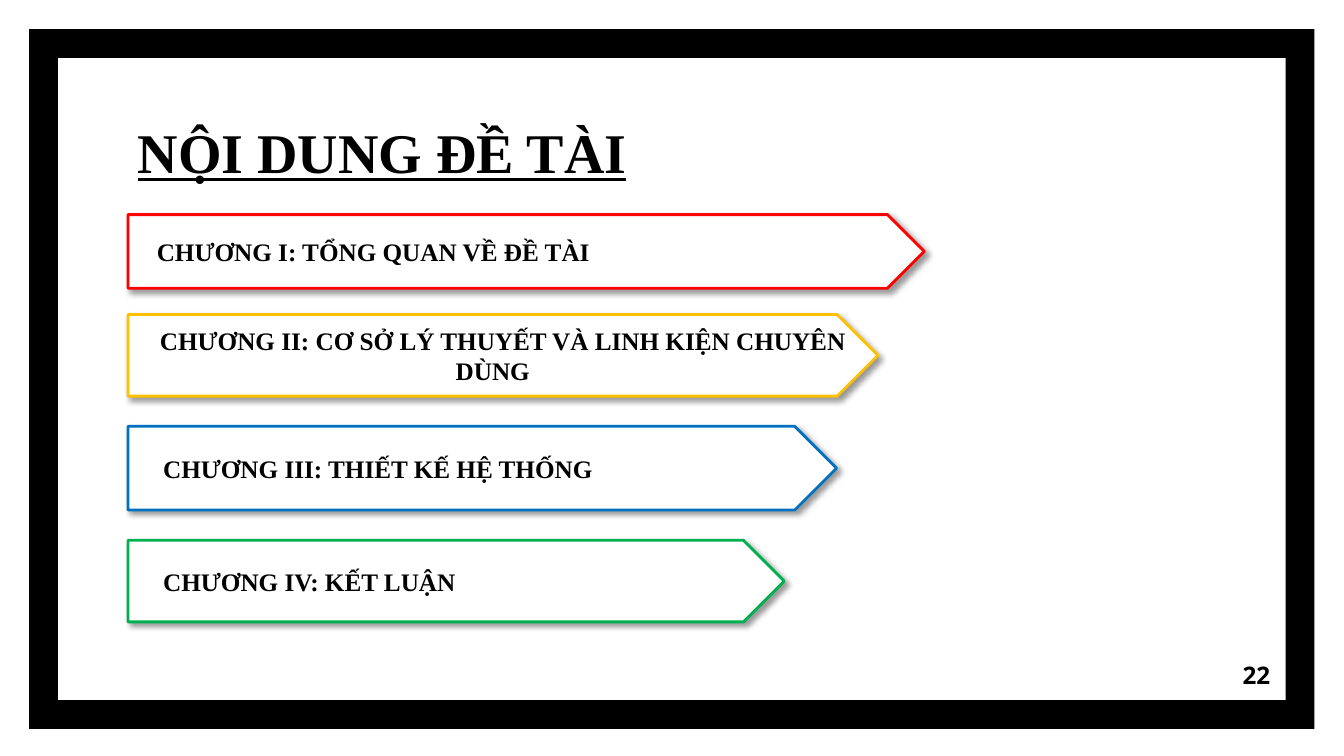
from lxml.etree import SubElement as Sub
from pptx import Presentation
from pptx.dml.color import RGBColor as RGB
from pptx.enum.shapes import MSO_SHAPE as Shape
from pptx.enum.text import MSO_ANCHOR as Anchor, PP_ALIGN as Align
from pptx.oxml.ns import qn
from pptx.util import Pt

BLACK = RGB(0x00, 0x00, 0x00)
WHITE = RGB(0xFF, 0xFF, 0xFF)
RED = RGB(0xFF, 0x00, 0x00)
GOLD = RGB(0xFF, 0xC0, 0x00)
BLUE = RGB(0x00, 0x70, 0xC0)
GREEN = RGB(0x00, 0xB0, 0x50)
SERIF = "Times New Roman"
SANS = "Open Sans"
LEFT = 91.44

ROWS = [
    ("CHƯƠNG I: TỔNG QUAN VỀ ĐỀ TÀI", RED, 153.36, 568.8, 52.56, 13.5, Align.LEFT),
    ("CHƯƠNG II: CƠ SỞ LÝ THUYẾT VÀ LINH KIỆN CHUYÊN DÙNG", GOLD,
     224.64, 535.68, 58.32, 14.4, Align.CENTER),
    ("CHƯƠNG III: THIẾT KẾ HỆ THỐNG", BLUE, 304.56, 506.16, 59.76, 18, Align.LEFT),
    ("CHƯƠNG IV: KẾT LUẬN", GREEN, 385.92, 468.72, 58.32, 18, Align.LEFT),
]


def write(frame, text, size, font, anchor, align=Align.LEFT, under=False):
    """Put one bold black run into a text frame and return its paragraph."""
    frame.word_wrap = True
    frame.vertical_anchor = anchor
    para = frame.paragraphs[0]
    para.alignment = align
    run = para.add_run()
    run.text = text
    run.font.size = Pt(size)
    run.font.name = font
    run.font.bold = True
    run.font.underline = under
    run.font.color.rgb = BLACK
    return para


def border(slide, x, y, w, h):
    """Draw the black frame around the slide."""
    edge = slide.shapes.add_shape(Shape.FRAME, Pt(x), Pt(y), Pt(w), Pt(h))
    edge.adjustments[0] = 0.041
    edge.shadow.inherit = False
    edge.fill.solid()
    edge.fill.fore_color.rgb = BLACK
    edge.line.fill.background()


def label(slide, x, y, w, h, *args):
    """Add a text box with even insets."""
    frame = slide.shapes.add_textbox(Pt(x), Pt(y), Pt(w), Pt(h)).text_frame
    frame.margin_left = frame.margin_right = Pt(7.2)
    frame.margin_top = frame.margin_bottom = Pt(7.2)
    write(frame, *args)


def shade(shape):
    """Give a shape a soft shadow to the lower right."""
    shape.shadow.inherit = False
    effects = shape._element.spPr.find(qn("a:effectLst"))
    outer = Sub(effects, qn("a:outerShdw"), blurRad=str(Pt(4)), dist=str(Pt(3)),
                dir="2700000", algn="tl", rotWithShape="0")
    color = Sub(outer, qn("a:srgbClr"), val=str(BLACK))
    Sub(color, qn("a:alpha"), val="40000")


def chapter(slide, x, y, w, h, text, color, indent, align):
    """Draw one chapter arrow with its heading."""
    arrow = slide.shapes.add_shape(Shape.PENTAGON, Pt(x), Pt(y), Pt(w), Pt(h))
    arrow.fill.solid()
    arrow.fill.fore_color.rgb = WHITE
    arrow.line.color.rgb = color
    arrow.line.width = Pt(2)
    shade(arrow)
    para = write(arrow.text_frame, text, 18, SERIF, Anchor.MIDDLE, align)
    para._p.get_or_add_pPr().set("indent", str(Pt(indent)))


def main():
    """Build the contents slide and save it."""
    deck = Presentation()
    deck.slide_width, deck.slide_height = Pt(960), Pt(540)
    slide = deck.slides.add_slide(deck.slide_layouts[6])
    border(slide, 20.88, 20.88, 918, 499.68)
    label(slide, LEFT, 69.84, 534.96, 69.12,
          "NỘI DUNG ĐỀ TÀI", 40, SERIF, Anchor.BOTTOM, Align.LEFT, True)
    label(slide, 856.8, 461.52, 57.6, 41.04,
          "22", 17.3, SANS, Anchor.MIDDLE, Align.RIGHT)
    for text, color, y, w, h, indent, align in ROWS:
        chapter(slide, LEFT, y, w, h, text, color, indent, align)
    deck.save("out.pptx")


if __name__ == "__main__":
    main()
